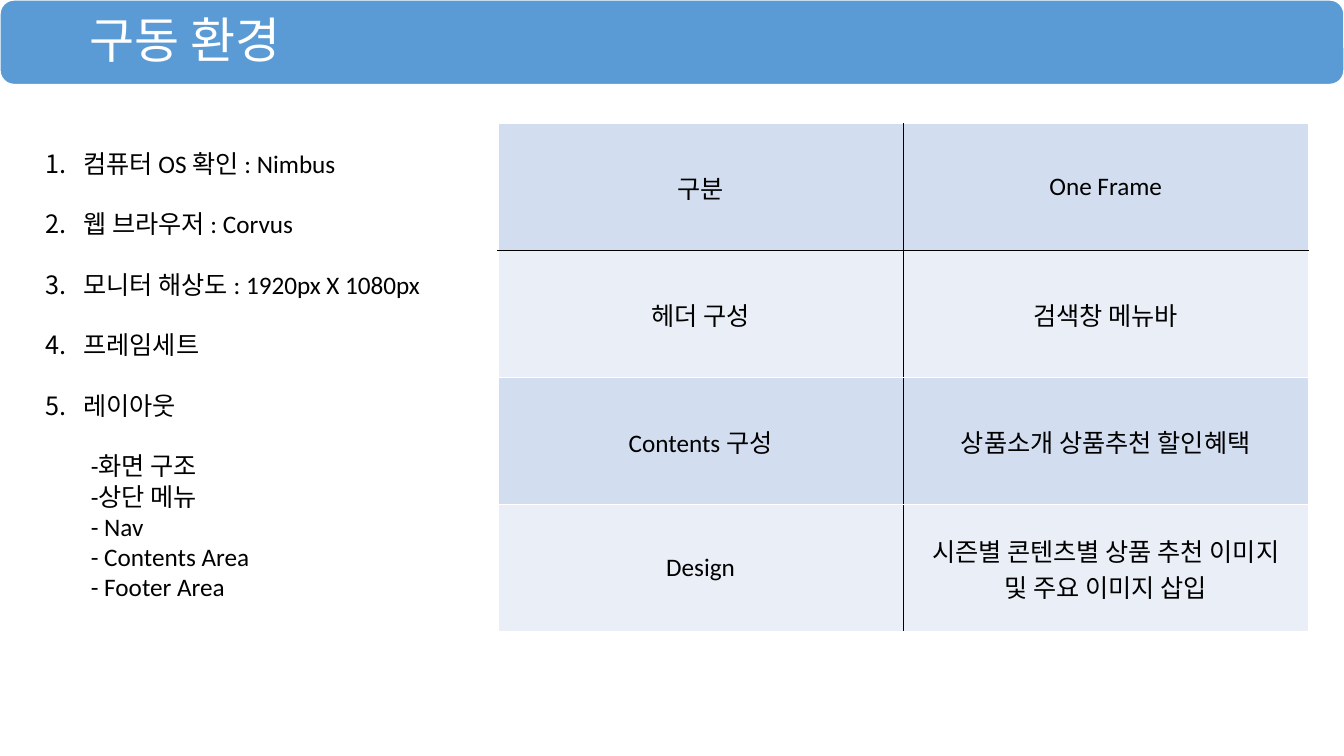
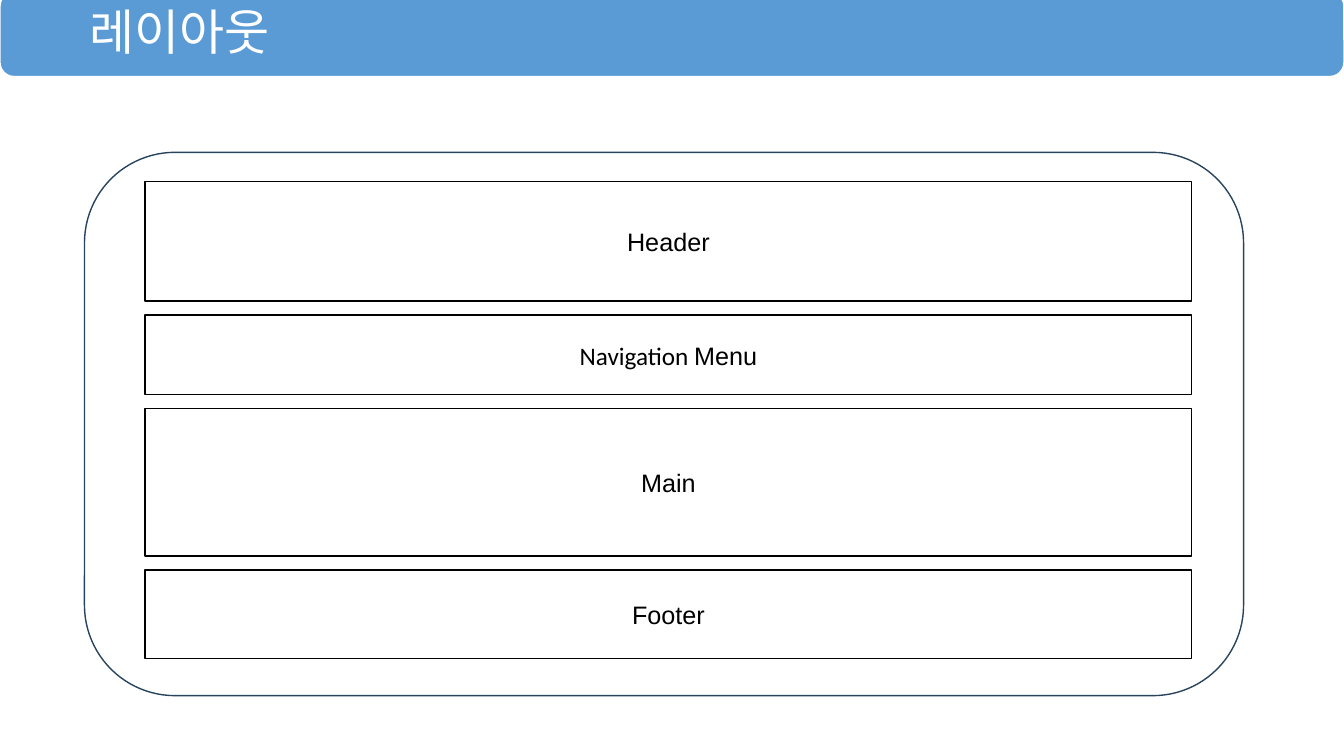
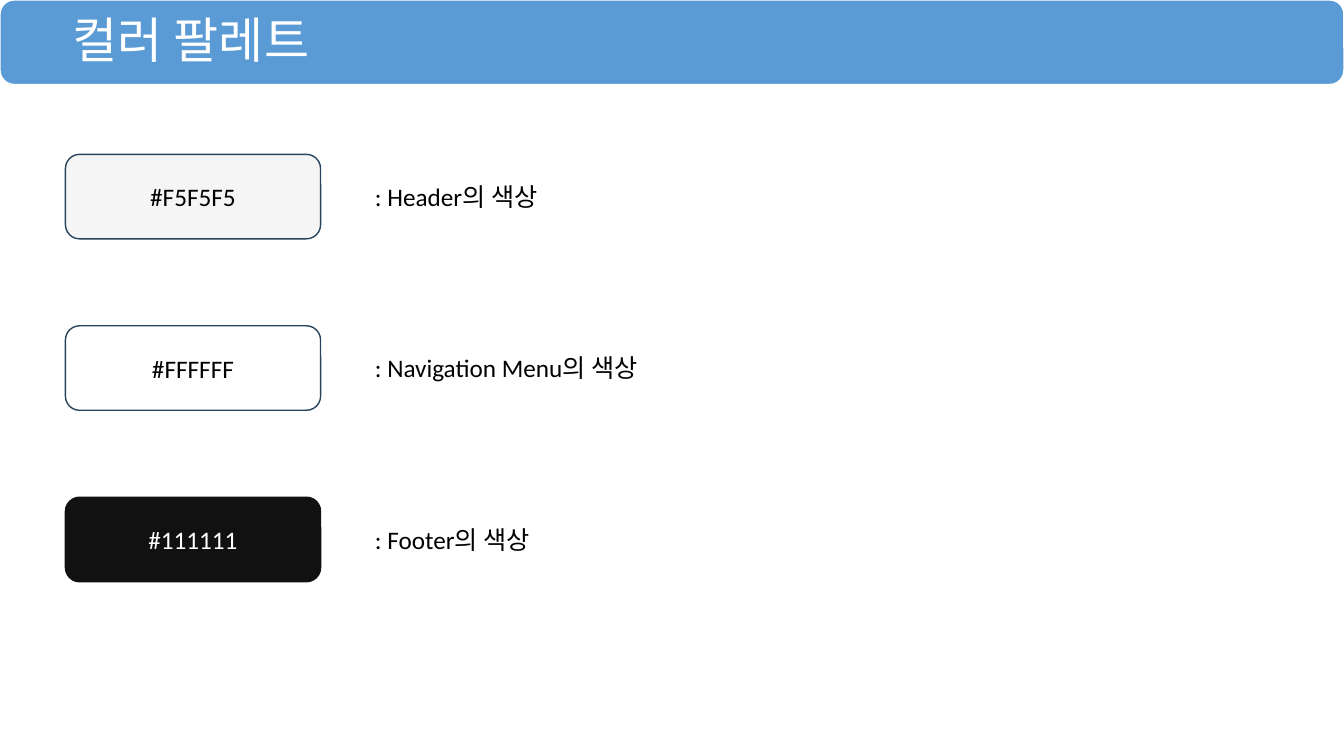
from pptx import Presentation
from pptx.dml.color import RGBColor as Rgb
from pptx.enum.shapes import MSO_SHAPE as Kind
from pptx.enum.text import MSO_ANCHOR as Anchor, PP_ALIGN as Align
from pptx.oxml.ns import qn
from pptx.util import Cm, Pt
from lxml.etree import SubElement as Sub

HUES = {
    "band": "5B9BD5", "white": "FFFFFF", "black": "000000", "navy": "28445D",
    "dark": "D2DEEF", "pale": "EAEFF7", "mist": "F5F5F5", "ink": "111111",
}
HUE = {name: Rgb.from_string(code) for name, code in HUES.items()}
WIDE, HIGH = 33.87, 19.05


def draw(page, kind, left, top, wide, high, fill, line):
    """Add a shape with a flat fill and a 1 pt outline."""
    shape = page.shapes.add_shape(kind, Cm(left), Cm(top), Cm(wide), Cm(high))
    shape.shadow.inherit = False
    if fill:
        shape.fill.solid()
        shape.fill.fore_color.rgb = HUE[fill]
    else:
        shape.fill.background()
    shape.line.color.rgb = HUE[line]
    shape.line.width = Pt(1)
    return shape


def style(para, size=18, face="Calibri", hue="black", align=Align.CENTER):
    """Format a paragraph and all its runs."""
    para.alignment = align
    for run in para.runs:
        run.font.size = Pt(size)
        run.font.name = face
        run.font.color.rgb = HUE[hue]


deck = Presentation()
deck.slide_width, deck.slide_height = Cm(WIDE), Cm(HIGH)

# Title bands: text, top, left margin
pages = []
for title, top, inset in [("구동 환경", 0, 2.15), ("레이아웃", -0.2, 2.15),
                          ("컬러 팔레트", 0, 1.73)]:
    page = deck.slides.add_slide(deck.slide_layouts[6])
    band = draw(page, Kind.ROUNDED_RECTANGLE, 0, top, WIDE, 2.13, "band", "white")
    frame = band.text_frame
    frame.vertical_anchor = Anchor.MIDDLE
    frame.margin_left = Cm(inset)
    frame.margin_right = frame.margin_top = frame.margin_bottom = Cm(0.18)
    frame.text = title
    para = frame.paragraphs[0]
    para.line_spacing = 0.9
    para.space_after = Pt(12)
    style(para, 35, "Arial", "white", Align.LEFT)
    pages.append(page)
setup, layout, colors = pages

# Setup: numbered list with sub-items
steps = ["컴퓨터 OS 확인 : Nimbus", "웹 브라우저 : Corvus",
         "모니터 해상도 : 1920px X 1080px", "프레임세트", "레이아웃"]
parts = ["-화면 구조", "-상단 메뉴", "- Nav", "- Contents Area", "- Footer Area"]
box = setup.shapes.add_textbox(Cm(0.89), Cm(3.61), Cm(11.5), Cm(11.79))
frame = box.text_frame
frame.word_wrap = True
frame.text = "\n".join(steps + parts)
for i, para in enumerate(frame.paragraphs):
    style(para, align=Align.LEFT)
    props = para._p.get_or_add_pPr()
    if i < len(steps):
        para.space_after = Pt(21.6)
        props.set("marL", str(Cm(0.96)))
        props.set("indent", str(-Cm(0.96)))
        Sub(props, qn("a:buAutoNum"), type="arabicPeriod")
    else:
        props.set("marL", str(Cm(1.15)))
        props.set("indent", "0")

# Setup: frame table
rows = [("구분", "One Frame"), ("헤더 구성", "검색창 메뉴바"),
        ("Contents 구성", "상품소개 상품추천 할인혜택"),
        ("Design", "시즌별 콘텐츠별 상품 추천 이미지\n및 주요 이미지 삽입")]
table = setup.shapes.add_table(len(rows), 2, Cm(12.55), Cm(3.12),
                               Cm(20.42), Cm(12.8)).table
table.first_row = table.horz_banding = False
for r, row in enumerate(rows):
    for c, text in enumerate(row):
        cell = table.cell(r, c)
        cell.text = text
        cell.vertical_anchor = Anchor.MIDDLE
        for para in cell.text_frame.paragraphs:
            style(para)
        # Black rules: the middle line and the line under the first row
        rules = {"lnL": c == 1, "lnR": c == 0, "lnT": r == 1, "lnB": r == 0}
        props = cell._tc.get_or_add_tcPr()
        for side, black in rules.items():
            edge = Sub(props, qn("a:" + side), w=str(Pt(1)))
            paint = Sub(edge, qn("a:solidFill"))
            Sub(paint, qn("a:srgbClr"), val=HUES["black" if black else "white"])
        cell.fill.solid()
        cell.fill.fore_color.rgb = HUE["pale" if r % 2 else "dark"]

# Layout: page outline and stacked blocks
draw(layout, Kind.ROUNDED_RECTANGLE, 2.13, 3.84, 29.21, 13.69, None, "navy")
top, gap = 4.57, 0.35
for text, high in [("Header", 3.02), ("Navigation ", 2.01),
                   ("Main", 3.71), ("Footer", 2.24)]:
    block = draw(layout, Kind.RECTANGLE, 3.66, top, 26.37, high, "white", "black")
    block.text_frame.text = text
    block.text_frame.vertical_anchor = Anchor.MIDDLE
    para = block.text_frame.paragraphs[0]
    if text == "Navigation ":
        para.add_run().text = "Menu"
    style(para, face="Arial")
    if text == "Navigation ":
        para.runs[0].font.name = "Calibri"
    top += high + gap

# Colors: swatches and their uses
swatches = [("mist", "navy", "black", "Header"),
            ("white", "navy", "black", "Navigation Menu"),
            ("ink", "ink", "white", "Footer")]
for i, (fill, line, hue, use) in enumerate(swatches):
    top = 3.89 + 4.32 * i
    swatch = draw(colors, Kind.ROUNDED_RECTANGLE, 1.65, top, 6.43, 2.13, fill, line)
    swatch.text_frame.text = "#" + HUES[fill]
    swatch.text_frame.vertical_anchor = Anchor.MIDDLE
    style(swatch.text_frame.paragraphs[0], hue=hue)
    label = colors.shapes.add_textbox(Cm(9.2), Cm(top + 0.55), Cm(16.56), Cm(1.03))
    label.text_frame.word_wrap = True
    label.text_frame.text = f": {use}의 색상"
    style(label.text_frame.paragraphs[0], align=Align.LEFT)

deck.save("out.pptx")
